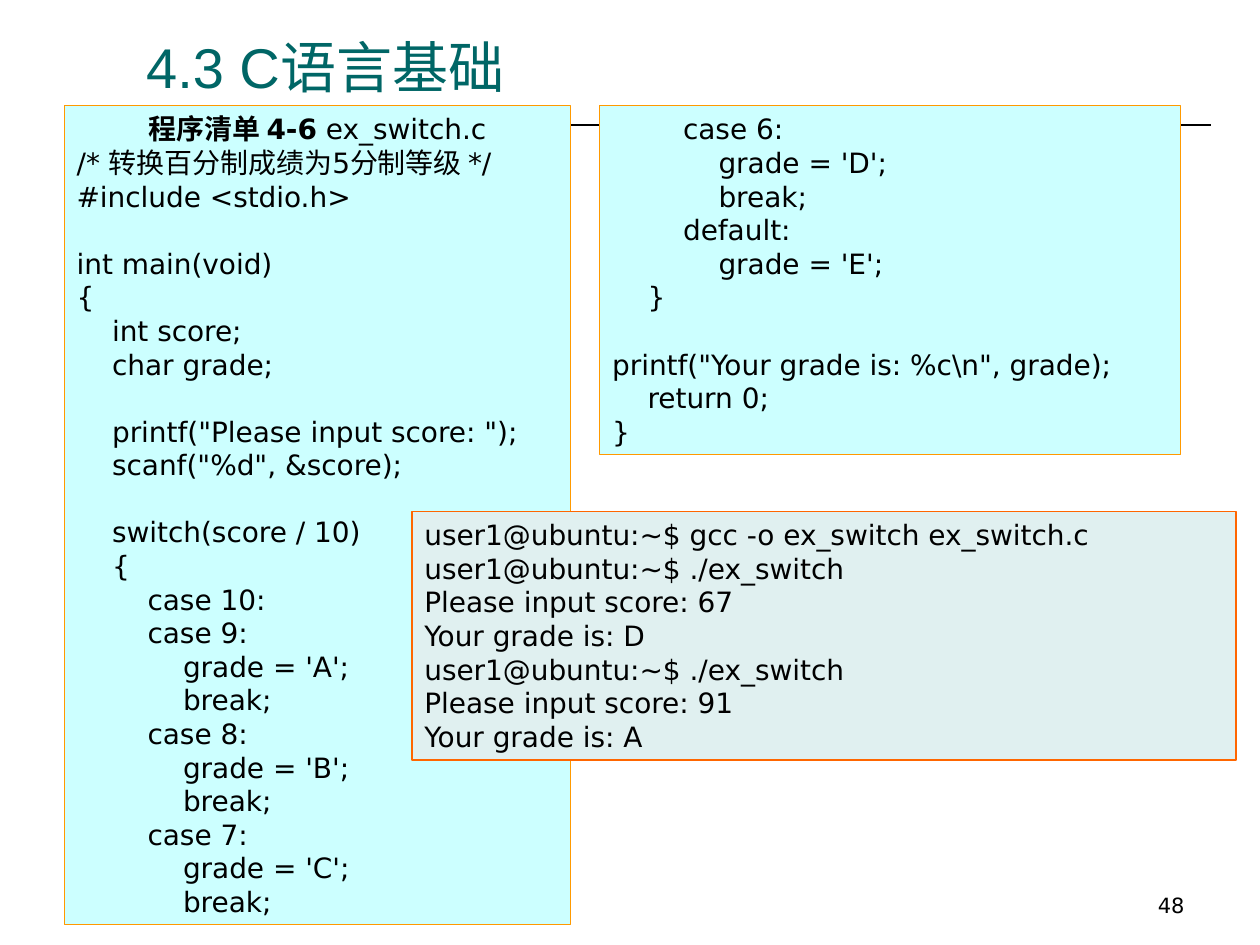
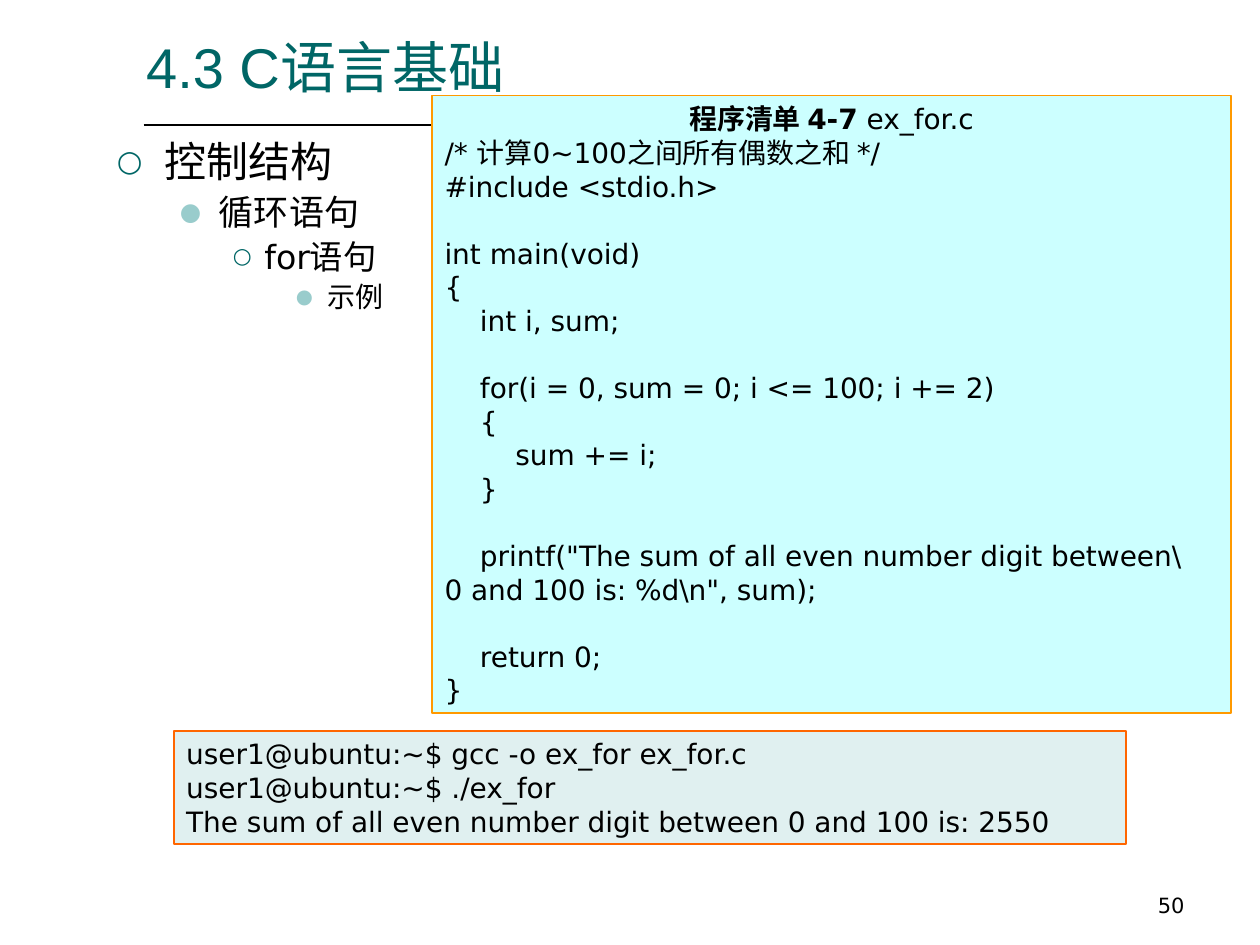
from lxml.etree import SubElement
from pptx import Presentation
from pptx.dml.color import RGBColor
from pptx.enum.shapes import MSO_CONNECTOR, MSO_SHAPE
from pptx.enum.text import MSO_ANCHOR, MSO_AUTO_SIZE, PP_ALIGN
from pptx.oxml.ns import qn
from pptx.util import Inches, Pt

COLORS = {
    "text": "000000",
    "title": "006666",
    "accent": "99CCCC",
    "code_fill": "CCFFFF",
    "code_line": "FF9900",
    "terminal_fill": "E0F0F0",
    "terminal_line": "FF6600",
}
BODY_FONT, TITLE_FONT = "DejaVu Sans", "Arial"
CODE_SIZE = 16
TITLE = "4.3 C语言基础"

# level: (size, left margin, hanging, space before, bullet, bullet colour, bullet %)
LEVELS = [
    (24, 0.38, 0.38, 6, "○", "title", 70),
    (20, 0.81, 0.31, 5, "●", "accent", 70),
    (19, 1.25, 0.25, 4.8, "○", "title", 65),
    (16, 1.75, 0.25, 4, "●", "accent", 70),
]

SWITCH_START = r"""/* 转换百分制成绩为5分制等级 */
#include <stdio.h>

int main(void)
{
    int score;
    char grade;

    printf("Please input score: ");
    scanf("%d", &score);

    switch(score / 10)
    {
        case 10:
        case 9:
            grade = 'A';
            break;
        case 8:
            grade = 'B';
            break;
        case 7:
            grade = 'C';
            break;"""

SWITCH_END = r"""        case 6:
            grade = 'D';
            break;
        default:
            grade = 'E';
    }

printf("Your grade is: %c\n", grade);
    return 0;
}"""

SWITCH_OUTPUT = """user1@ubuntu:~$ gcc -o ex_switch ex_switch.c
user1@ubuntu:~$ ./ex_switch
Please input score: 67
Your grade is: D
user1@ubuntu:~$ ./ex_switch
Please input score: 91
Your grade is: A"""

FOR_CODE = r"""/* 计算0~100之间所有偶数之和 */
#include <stdio.h>

int main(void)
{
    int i, sum;

    for(i = 0, sum = 0; i <= 100; i += 2)
    {
        sum += i;
    }

    printf("The sum of all even number digit between\
0 and 100 is: %d\n", sum);

    return 0;
}"""

FOR_OUTPUT = """user1@ubuntu:~$ gcc -o ex_for ex_for.c
user1@ubuntu:~$ ./ex_for
The sum of all even number digit between 0 and 100 is: 2550"""


def rgb(name):
    return RGBColor.from_string(COLORS[name])


def format_run(r, size, color="text", font=BODY_FONT, bold=False):
    r.font.size, r.font.name, r.font.bold = Pt(size), font, bold
    r.font.color.rgb = rgb(color)


def add_text_box(slide, box):
    tf = slide.shapes.add_textbox(*map(Inches, box)).text_frame
    tf.word_wrap = True
    return tf


def add_base_slide(prs, number):
    """Add a slide with the shared title, rule and page number."""
    slide = prs.slides.add_slide(prs.slide_layouts[5])
    title = slide.shapes.title
    title.left, title.top, title.width, title.height = map(Inches, (1.06, 0.21, 8.47, 0.63))
    tf = title.text_frame
    tf.text = TITLE
    tf.auto_size = MSO_AUTO_SIZE.NONE
    tf.vertical_anchor = MSO_ANCHOR.BOTTOM
    p = tf.paragraphs[0]
    p.alignment = PP_ALIGN.LEFT
    format_run(p.runs[0], 32, "title", TITLE_FONT)

    rule = slide.shapes.add_connector(
        MSO_CONNECTOR.STRAIGHT, *map(Inches, (1.14, 0.99, 9.61, 0.99)))
    rule.line.color.rgb, rule.line.width = rgb("text"), Pt(1)
    SubElement(rule._element.spPr, qn("a:effectLst"))

    tf = add_text_box(slide, (7.17, 6.83, 2.33, 0.5))
    tf.text = str(number)
    tf.vertical_anchor = MSO_ANCHOR.BOTTOM
    p = tf.paragraphs[0]
    p.alignment = PP_ALIGN.RIGHT
    format_run(p.runs[0], 12)
    return slide


def add_panel(slide, box, text, kind, line_width, heading=None):
    """Add a filled box of code lines; heading is a (bold label, file name) pair."""
    sp = slide.shapes.add_shape(MSO_SHAPE.RECTANGLE, *map(Inches, box))
    sp.shadow.inherit = False
    sp.fill.solid()
    sp.fill.fore_color.rgb = rgb(kind + "_fill")
    sp.line.color.rgb, sp.line.width = rgb(kind + "_line"), Pt(line_width)
    tf = sp.text_frame
    tf.word_wrap = True
    tf.auto_size = MSO_AUTO_SIZE.SHAPE_TO_FIT_TEXT
    tf.vertical_anchor = MSO_ANCHOR.TOP
    p = tf.paragraphs[0]
    if heading:
        label, file_name = heading
        p.alignment = PP_ALIGN.CENTER
        for part, bold in ((label, True), (" " + file_name, False)):
            r = p.add_run()
            r.text = part
            format_run(r, CODE_SIZE, bold=bold)
        p = tf.add_paragraph()
    for i, line in enumerate(text.split("\n")):
        if i:
            p = tf.add_paragraph()
        p.text = line
        p.alignment = PP_ALIGN.LEFT
        if line:
            format_run(p.runs[0], CODE_SIZE)
        else:
            SubElement(p._p, qn("a:endParaRPr"), sz=str(CODE_SIZE * 100))


def add_code(slide, box, text, heading=None):
    add_panel(slide, box, text, "code", 0.75, heading)


def add_terminal(slide, box, text):
    add_panel(slide, box, text, "terminal", 1)


def add_outline(slide, box, first_level, items):
    """Add bulleted items, each one level deeper than the one before."""
    tf = add_text_box(slide, box)
    for i, item in enumerate(items):
        level = first_level + i
        size, margin, hanging, before, bullet, color, percent = LEVELS[level]
        p = tf.add_paragraph() if i else tf.paragraphs[0]
        p.text = item
        p.level = level
        pPr = p._p.get_or_add_pPr()
        pPr.set("marL", str(Inches(margin)))
        pPr.set("indent", str(-Inches(hanging)))
        SubElement(SubElement(pPr, qn("a:buClr")), qn("a:srgbClr"), val=COLORS[color])
        SubElement(pPr, qn("a:buSzPct"), val=str(percent * 1000))
        SubElement(pPr, qn("a:buFont"), typeface=BODY_FONT)
        SubElement(pPr, qn("a:buChar"), char=bullet)
        p.line_spacing = 0.9
        if i:
            p.space_before = Pt(before)
        format_run(p.runs[0], size)


def build_switch_slide(prs):
    slide = add_base_slide(prs, 48)
    add_code(slide, (0.51, 0.84, 4.02, 6.5), SWITCH_START, ("程序清单 4-6", "ex_switch.c"))
    add_code(slide, (4.76, 0.84, 4.61, 2.77), SWITCH_END)
    add_terminal(slide, (3.27, 4.06, 6.54, 1.97), SWITCH_OUTPUT)


def build_for_slide(prs):
    slide = add_base_slide(prs, 50)
    add_outline(slide, (0.83, 1.07, 8.74, 0.79), 0, ["控制结构", "循环语句"])
    add_outline(slide, (0.75, 1.86, 8.74, 0.71), 2, ["for语句", "示例"])
    add_code(slide, (3.43, 0.76, 6.34, 4.9), FOR_CODE, ("程序清单 4-7", "ex_for.c"))
    add_terminal(slide, (1.38, 5.8, 7.56, 0.9), FOR_OUTPUT)


def main():
    prs = Presentation()
    prs.slide_width, prs.slide_height = Inches(10), Inches(7.5)
    build_switch_slide(prs)
    build_for_slide(prs)
    prs.save("out.pptx")


if __name__ == "__main__":
    main()
